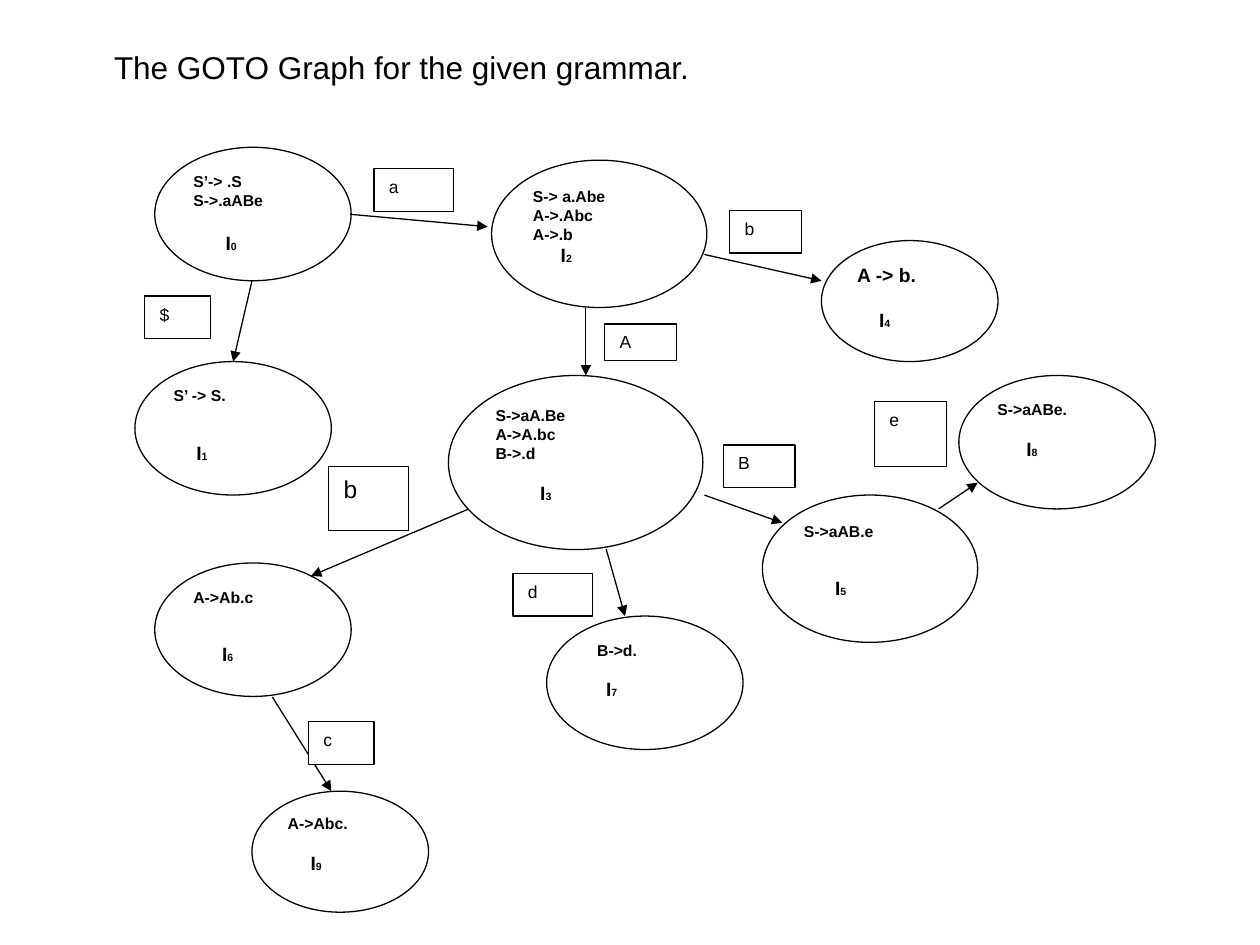
from pptx import Presentation
from pptx.dml.color import RGBColor
from pptx.enum.shapes import MSO_CONNECTOR as Connector, MSO_SHAPE as Shape
from pptx.enum.text import MSO_ANCHOR as Anchor, PP_ALIGN as Align
from pptx.oxml.ns import qn
from pptx.util import Cm, Pt
from lxml.etree import SubElement

BLACK, WHITE = "000000", "FFFFFF"

# Oval sizes: width, height
SMALL, MEDIUM, LARGE, HUGE = (3.56, 2.44), (3.96, 2.69), (4.34, 2.97), (5.13, 3.51)

# Left, top, size, productions, font size, production indent,
# points above the state name, state name indent
STATES = [
    (0.4, 0, MEDIUM, ["S’-> .S", "S->.aABe"], 9, 0, 12.6, 0.65),
    (0, 4.32, MEDIUM, ["S’ -> S."], 9, 0, 20.7, 0.46),
    (7.19, 0.26, LARGE, ["S-> a.Abe", "A->.Abc", "A->.b"], 9, 0, 0, 0.56),
    (6.32, 4.6, HUGE, ["S->aA.Be", "A->A.bc", "B->.d"], 9, 0, 10.35, 0.9),
    (13.84, 1.88, SMALL, ["A -> b."], 11, 0, 12.6, 0.44),
    (12.65, 7.01, LARGE, ["S->aAB.e"], 9, 0, 20.7, 0.63),
    (0.4, 8.38, MEDIUM, ["A->Ab.c"], 9, 0, 20.7, 0.58),
    (8.3, 9.45, MEDIUM, ["B->d."], 9, 0.24, 10.35, 0.42),
    (16.61, 4.6, MEDIUM, ["S->aABe."], 9, 0, 10.35, 0.58),
    (2.36, 12.98, SMALL, ["A->Abc."], 9, 0, 10.35, 0.46),
]

# Start and end of each transition
ARROWS = [
    (2.36, 2.69, 1.98, 4.32),
    (4.34, 1.35, 7.11, 1.6),
    (9.09, 3.23, 9.09, 4.6),
    (11.48, 2.16, 13.84, 2.69),
    (11.48, 7.01, 13.05, 7.57),
    (16.2, 7.29, 16.99, 6.76),
    (6.73, 7.29, 3.55, 8.64),
    (9.5, 8.1, 9.88, 9.45),
    (2.77, 11.08, 3.96, 12.98),
]

# Symbol, left, top, width, height, font size
SYMBOLS = [
    ("a", 4.82, 0.43, 1.6, 0.86, 10),
    ("$", 0.2, 3, 1.32, 0.86, 10),
    ("b", 11.99, 1.27, 1.45, 0.86, 10),
    ("A", 9.47, 3.56, 1.45, 0.74, 10),
    ("B", 11.86, 6, 1.45, 0.86, 10),
    ("e", 14.91, 5.13, 1.45, 1.3, 10),
    ("b", 3.91, 6.43, 1.6, 1.3, 14),
    ("c", 3.5, 11.58, 1.32, 0.86, 10),
    ("d", 7.62, 8.59, 1.6, 0.86, 10),
]


def color(value):
    return RGBColor.from_string(value)


def style_paragraph(para, size, bold=False, indent=0):
    para.alignment = Align.LEFT
    if indent:
        para._p.get_or_add_pPr().set("marL", str(Cm(indent)))
    font = para.font
    font.name, font.size, font.bold = "Arial", Pt(size), bold
    font.color.rgb = color(BLACK)


def add_outlined(page, kind, left, top, width, height, side_inset, end_inset):
    box = page.shapes.add_shape(kind, Cm(left), Cm(top), Cm(width), Cm(height))
    box.shadow.inherit = False
    box.fill.solid()
    box.fill.fore_color.rgb = color(WHITE)
    box.line.color.rgb = color(BLACK)
    box.line.width = Pt(0.75)
    frame = box.text_frame
    frame.word_wrap = True
    frame.vertical_anchor = Anchor.TOP
    frame.margin_left = frame.margin_right = Cm(side_inset)
    frame.margin_top = frame.margin_bottom = Cm(end_inset)
    return frame


def add_state(page, number, left, top, size, productions, points, indent, gap, name_indent):
    frame = add_outlined(page, Shape.OVAL, left, top, *size, 0.2, 0.1)
    for index, production in enumerate(productions):
        para = frame.add_paragraph() if index else frame.paragraphs[0]
        para.text = production
        style_paragraph(para, points, True, indent)
    # State name with a small number
    para = frame.add_paragraph()
    para.space_before = Pt(gap)
    style_paragraph(para, 11, True, name_indent)
    para.add_run().text = "I"
    span = para.add_run()
    span.text = str(number)
    span.font.size = Pt(6)


def add_symbol(page, symbol, left, top, width, height, points):
    frame = add_outlined(page, Shape.RECTANGLE, left, top, width, height, 0.3, 0.15)
    para = frame.paragraphs[0]
    para.text = symbol
    style_paragraph(para, points)


def add_arrow(page, *ends):
    arrow = page.shapes.add_connector(Connector.STRAIGHT, *map(Cm, ends))
    arrow.line.color.rgb = color(BLACK)
    arrow.line.width = Pt(0.75)
    SubElement(arrow.line._get_or_add_ln(), qn("a:tailEnd"), type="triangle")
    SubElement(arrow._element.spPr, qn("a:effectLst"))


def add_title(page, left, top, width, height):
    box = page.shapes.add_textbox(Cm(left), Cm(top), Cm(width), Cm(height))
    frame = box.text_frame
    frame.word_wrap = False
    frame.vertical_anchor = Anchor.TOP
    para = frame.paragraphs[0]
    para.text = "The GOTO Graph for the given grammar."
    style_paragraph(para, 18, indent=0.35)


def add_graph(page, left, top):
    # States
    for number, (x, y, *details) in enumerate(STATES):
        add_state(page, number, left + x, top + y, *details)
    # Transitions
    for x1, y1, x2, y2 in ARROWS:
        add_arrow(page, left + x1, top + y1, left + x2, top + y2)
    # Transition symbols
    for symbol, x, y, *details in SYMBOLS:
        add_symbol(page, symbol, left + x, top + y, *details)


def main():
    deck = Presentation()
    deck.slide_width, deck.slide_height = Cm(25.4), Cm(19.05)
    page = deck.slides.add_slide(deck.slide_layouts[6])
    add_graph(page, 2.72, 2.97)
    add_title(page, 1.7, 0.84, 12.5, 1.78)
    deck.save("out.pptx")


if __name__ == "__main__":
    main()
